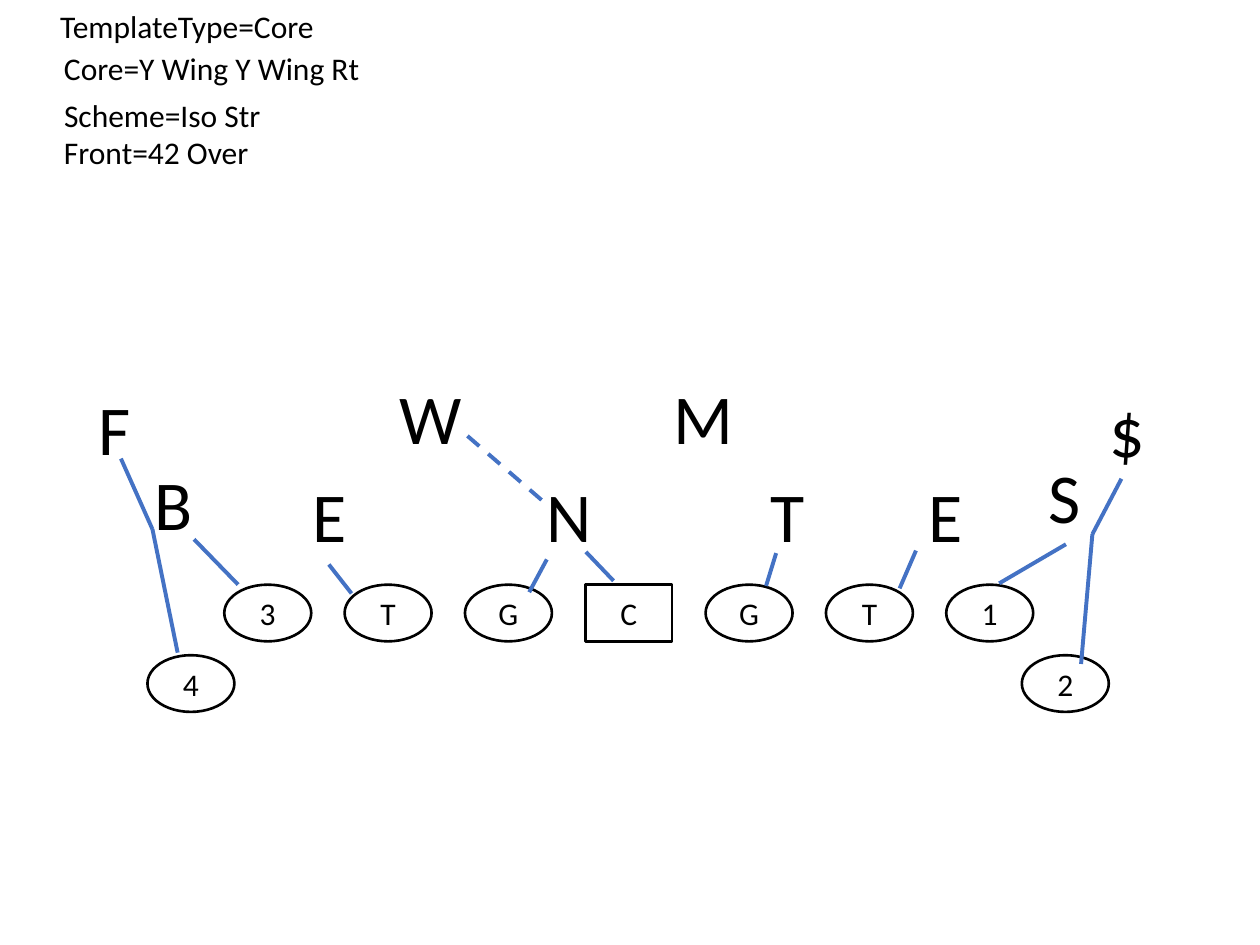
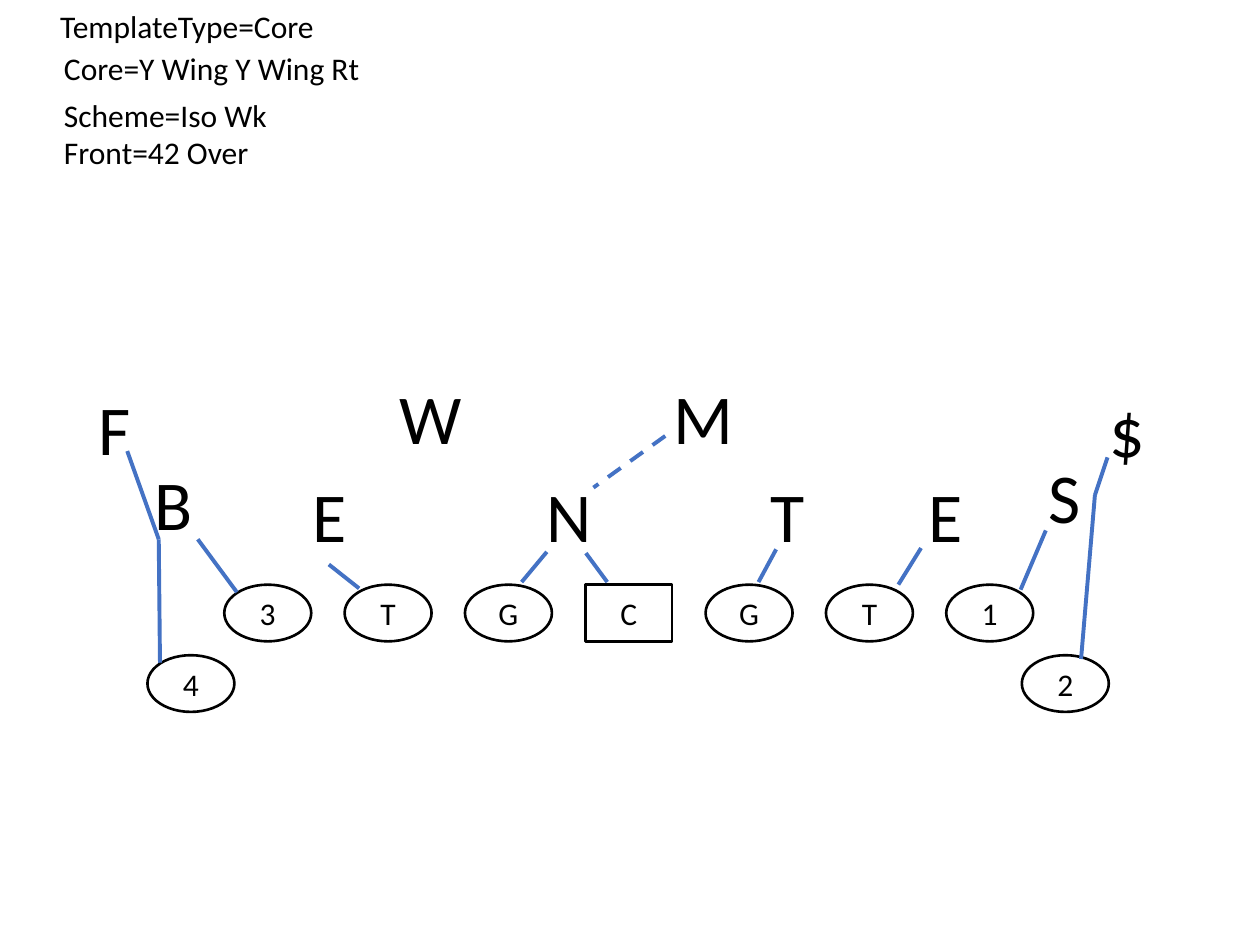
from itertools import pairwise

from lxml import etree
from pptx import Presentation
from pptx.dml.color import RGBColor
from pptx.enum.dml import MSO_LINE
from pptx.enum.shapes import MSO_CONNECTOR, MSO_SHAPE
from pptx.enum.text import MSO_ANCHOR, MSO_AUTO_SIZE, PP_ALIGN
from pptx.oxml.ns import qn
from pptx.util import Inches, Pt

STRAIGHT = MSO_CONNECTOR.STRAIGHT
DASH = MSO_LINE.DASH
OVAL, SQUARE = MSO_SHAPE.OVAL, MSO_SHAPE.RECTANGLE
MIDDLE, CENTER = MSO_ANCHOR.MIDDLE, PP_ALIGN.CENTER
GROW = MSO_AUTO_SIZE.SHAPE_TO_FIT_TEXT

COLORS = {"ink": "000000", "paper": "FFFFFF", "block": "4472C4"}
HEADING_FORMAT = {"name": "Calibri", "size": Pt(18)}
DEFENDER_FORMAT = {"name": "Calibri", "size": Pt(40)}

PLAYER_WIDTH, PLAYER_HEIGHT = 0.69, 0.45
LINE_LABELS = "3TGCGT1"
LINE_LEFT, LINE_RIGHT, LINE_TOP = 1.78, 7.51, 4.64
WINGS = [("4", 1.17, 5.2), ("2", 8.11, 5.2)]

# label, left, top, width
DEFENDERS = [
    ("F", 0.68, 3.01, 0.35),
    ("B", 1.13, 3.61, 0.51),
    ("E", 2.38, 3.7, 0.48),
    ("W", 3.07, 2.92, 0.7),
    ("N", 4.24, 3.7, 0.56),
    ("M", 5.25, 2.92, 0.7),
    ("T", 6.02, 3.7, 0.48),
    ("E", 7.27, 3.7, 0.48),
    ("S", 8.22, 3.55, 0.48),
    ("$", 8.71, 3.03, 0.39),
]

# Each block is the list of points its line runs through.
PLAYS = [
    {
        "scheme": "Iso Str",
        "scheme_width": 1.78,
        "blocks": [
            [(2.61, 4.48), (2.79, 4.71)],
            [(4.34, 4.44), (4.2, 4.7)],
            [(4.65, 4.38), (4.87, 4.61)],
            [(6.16, 4.39), (6.08, 4.65)],
            [(7.27, 4.37), (7.14, 4.67)],
            [(8.46, 4.32), (7.93, 4.63)],
            [(8.58, 5.27), (8.67, 4.24), (8.9, 3.8)],
            [(1.54, 4.28), (1.89, 4.64)],
            [(1.41, 5.18), (1.21, 4.2), (0.96, 3.64)],
        ],
        "read": [(3.71, 3.46), (4.3, 3.97)],
    },
    {
        "scheme": "Iso Wk",
        "scheme_width": 1.83,
        "blocks": [
            [(2.61, 4.48), (2.85, 4.67)],
            [(4.34, 4.38), (4.14, 4.62)],
            [(4.65, 4.39), (4.82, 4.62)],
            [(6.16, 4.36), (6.02, 4.62)],
            [(7.31, 4.35), (7.13, 4.64)],
            [(8.3, 4.21), (8.1, 4.68)],
            [(8.58, 5.23), (8.69, 3.93), (8.79, 3.63)],
            [(1.88, 4.7), (1.57, 4.28)],
            [(1.27, 5.26), (1.26, 4.28), (1.01, 3.58)],
        ],
        "read": [(5.28, 3.46), (4.71, 3.87)],
    },
]


def rgb(name):
    return RGBColor.from_string(COLORS[name])


def write_text(shape, text, font_format):
    paragraph = shape.text_frame.paragraphs[0]
    run = paragraph.add_run()
    run.text = text
    for attribute, value in font_format.items():
        setattr(run.font, attribute, value)
    run.font.color.rgb = rgb("ink")
    return paragraph


def add_label(slide, text, left, top, width, height, font_format, wrap):
    box = slide.shapes.add_textbox(*map(Inches, (left, top, width, height)))
    box.text_frame.word_wrap = wrap
    box.text_frame.auto_size = GROW
    write_text(box, text, font_format)


def add_headings(slide, play):
    headings = [
        ("TemplateType=Core", 0.38, 0.01, 2.24),
        ("Core=Y Wing Y Wing Rt", 0.41, 0.34, 2.57),
        (f"Scheme={play['scheme']}", 0.41, 0.71, play["scheme_width"]),
        ("Front=42 Over", 0.41, 1.01, 1.74),
    ]
    for heading in headings:
        add_label(slide, *heading, 0.4, HEADING_FORMAT, wrap=False)


def add_player(slide, label, left, top):
    """Add an offensive player; the center is the only square one."""
    player = slide.shapes.add_shape(
        SQUARE if label == "C" else OVAL,
        *map(Inches, (left, top, PLAYER_WIDTH, PLAYER_HEIGHT)),
    )
    player.shadow.inherit = False
    player.fill.solid()
    player.fill.fore_color.rgb = rgb("paper")
    player.line.color.rgb = rgb("ink")
    player.line.width = Pt(1.5)
    player.text_frame.vertical_anchor = MIDDLE
    write_text(player, label, HEADING_FORMAT).alignment = CENTER


def add_offense(slide):
    pitch = (LINE_RIGHT - LINE_LEFT) / (len(LINE_LABELS) - 1)
    for index, label in enumerate(LINE_LABELS):
        add_player(slide, label, LINE_LEFT + index * pitch, LINE_TOP)
    for wing in WINGS:
        add_player(slide, *wing)


def add_defense(slide):
    for defender in DEFENDERS:
        add_label(slide, *defender, 0.77, DEFENDER_FORMAT, wrap=True)


def add_block(slide, points, dash=None):
    for start, end in pairwise(points):
        connector = slide.shapes.add_connector(STRAIGHT, *map(Inches, start + end))
        connector.line.color.rgb = rgb("block")
        connector.line.width = Pt(2.25)
        if dash:
            connector.line.dash_style = dash
        etree.SubElement(connector._element.spPr, qn("a:effectLst"))


def add_play(presentation, play):
    blank_layout = presentation.slide_layouts.get_by_name("Blank")
    slide = presentation.slides.add_slide(blank_layout)
    add_headings(slide, play)
    add_offense(slide)
    add_defense(slide)
    for points in play["blocks"]:
        add_block(slide, points)
    add_block(slide, play["read"], DASH)


def main():
    presentation = Presentation()
    presentation.slide_width = Inches(10)
    presentation.slide_height = Inches(7.5)
    for play in PLAYS:
        add_play(presentation, play)
    presentation.save("out.pptx")


if __name__ == "__main__":
    main()
